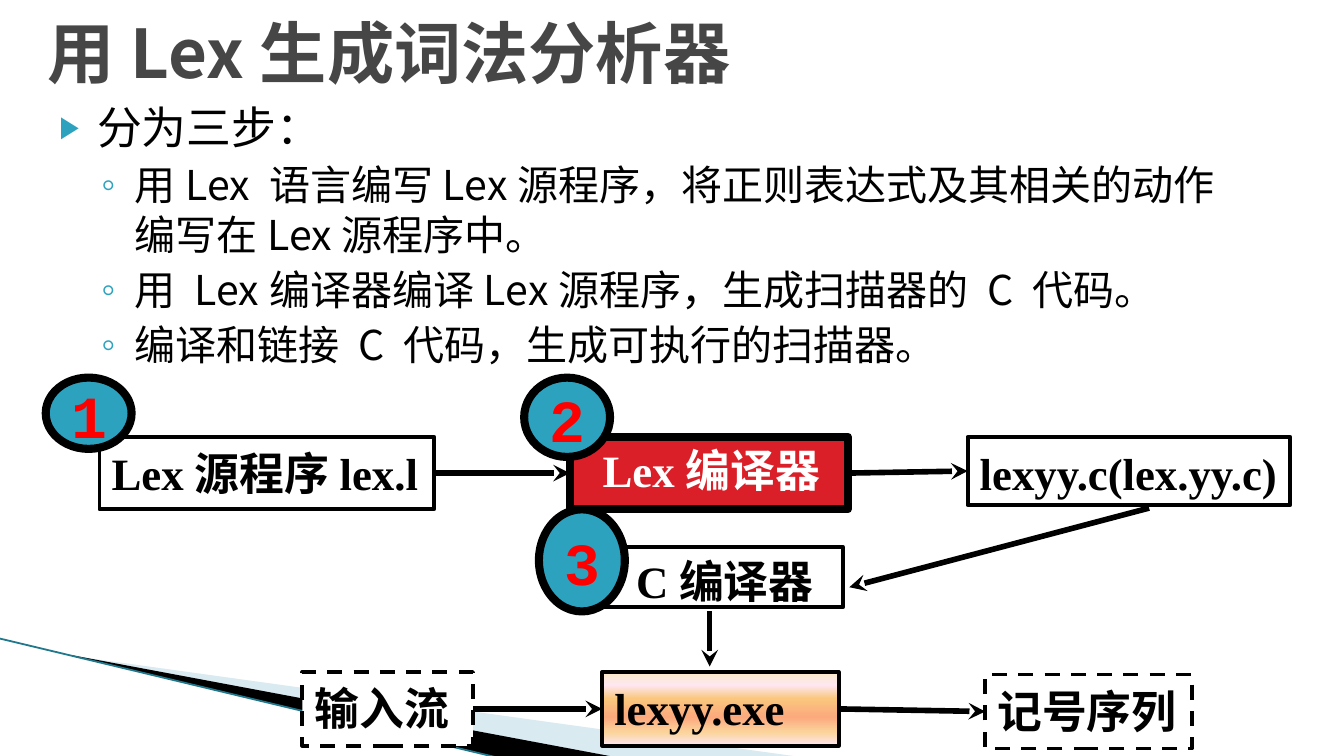
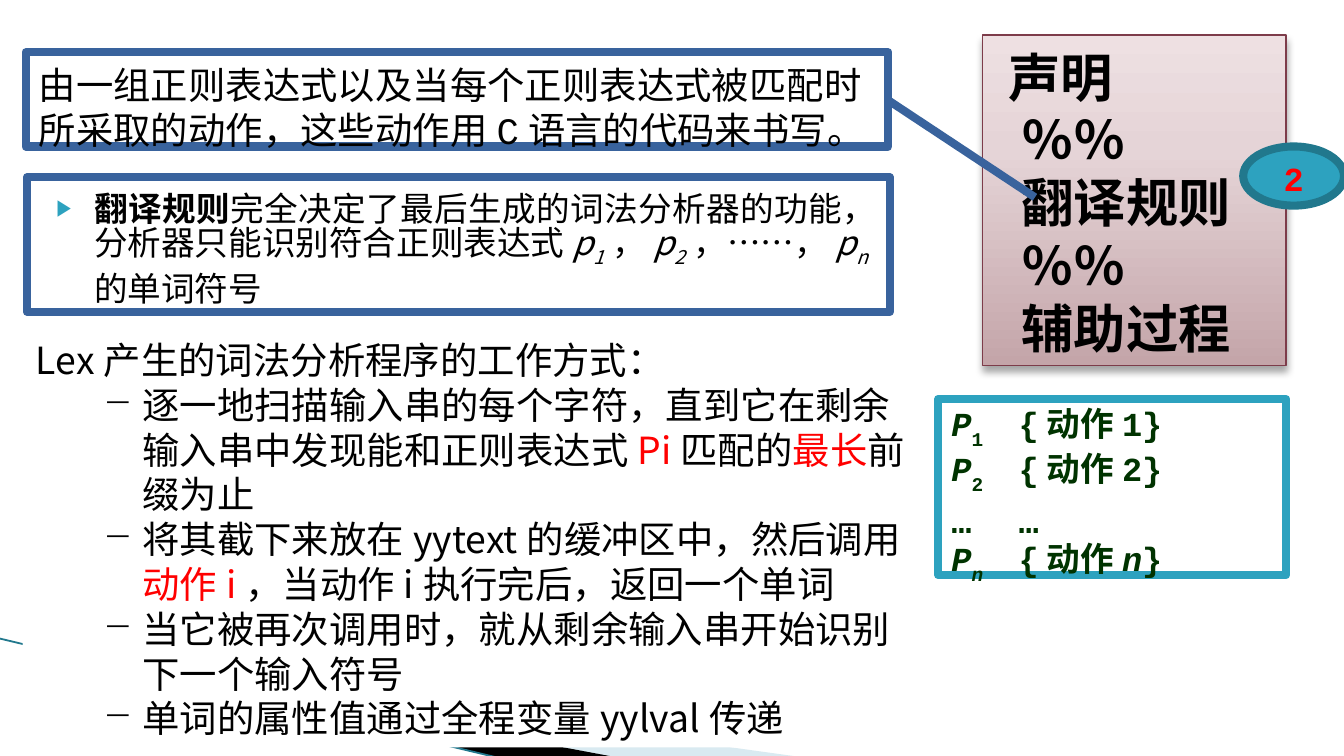
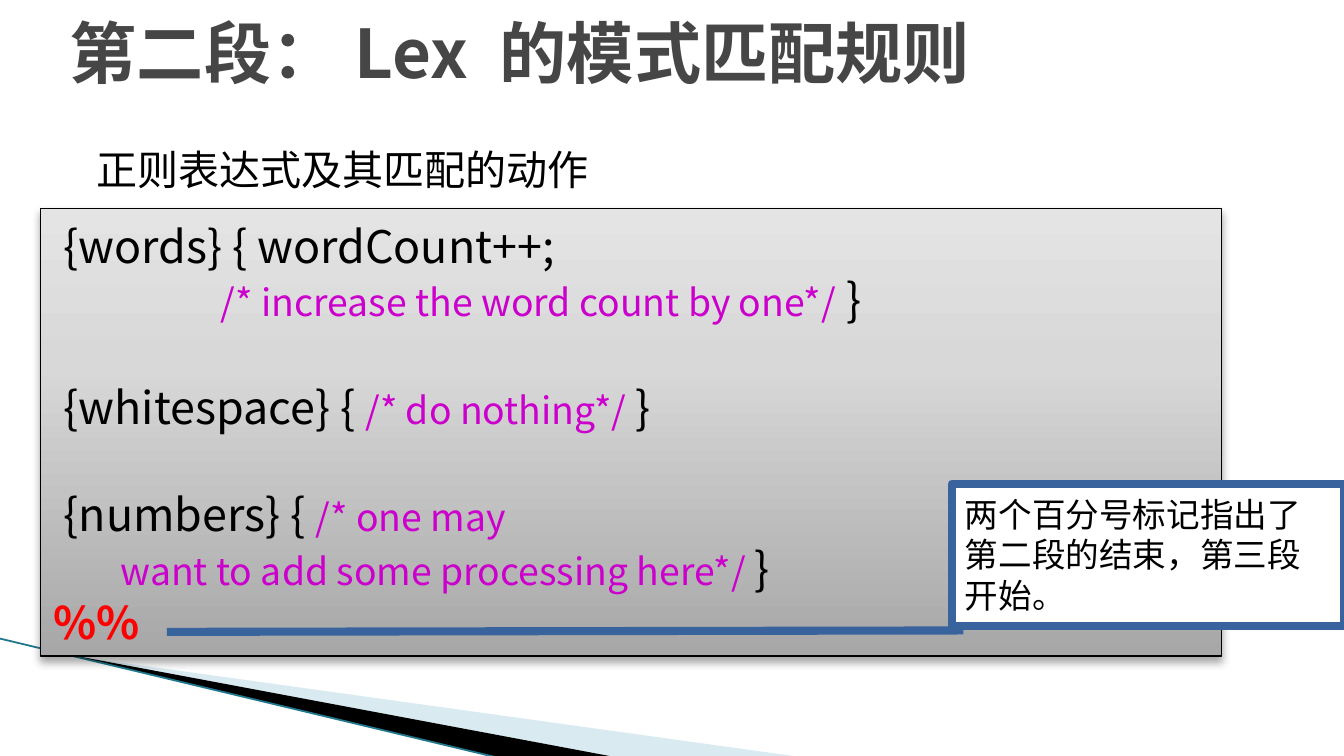
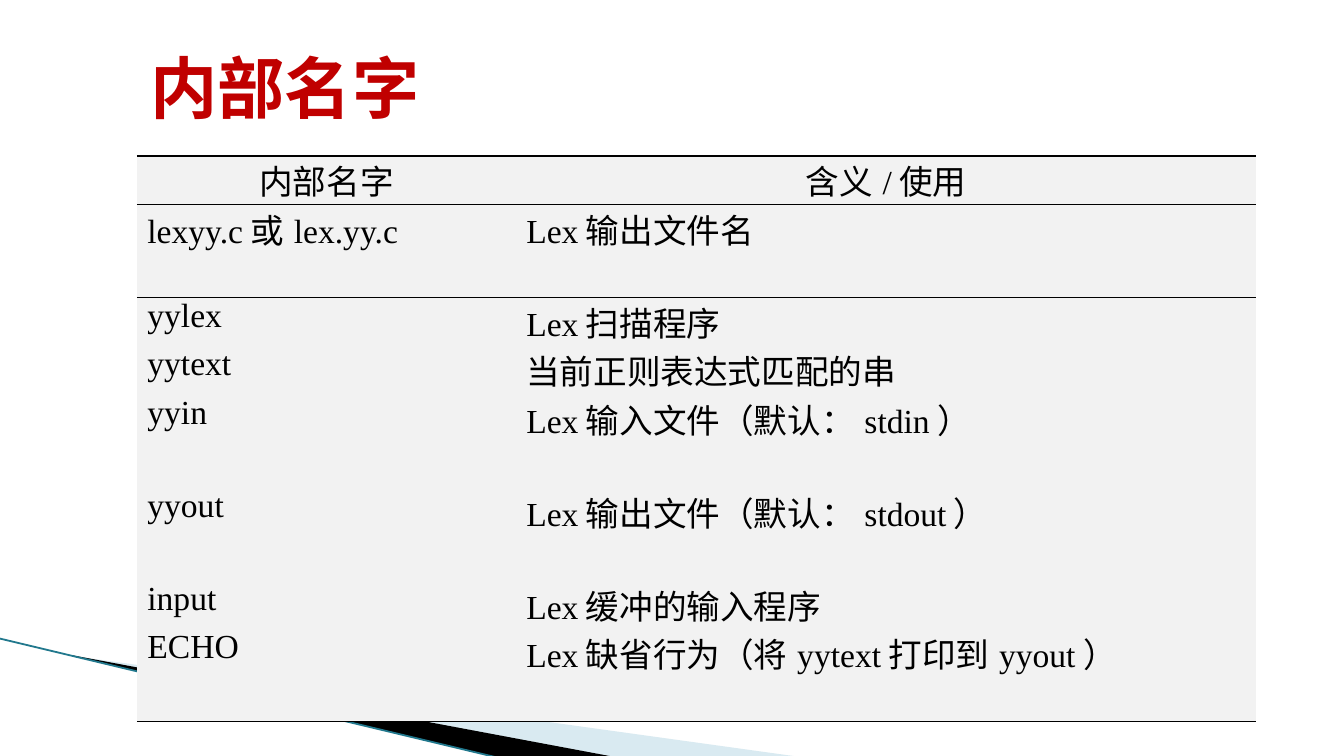
from dataclasses import dataclass

from lxml import etree
from pptx import Presentation
from pptx import util as u
from pptx.dml import color as dye
from pptx.enum import dml, shapes, text
from pptx.oxml import ns

KIND = shapes.MSO_SHAPE
LEFT, MID, FULL = text.PP_ALIGN.LEFT, text.PP_ALIGN.CENTER, text.PP_ALIGN.JUSTIFY
TOP, CORE, LOW = text.MSO_ANCHOR.TOP, text.MSO_ANCHOR.MIDDLE, text.MSO_ANCHOR.BOTTOM


@dataclass(frozen=True)
class Theme:
    sans: str = "Noto Sans CJK SC"
    serif: str = "Times New Roman"
    mono: str = "Courier New"
    black: str = "000000"
    white: str = "FFFFFF"
    grey: str = "464646"
    teal: str = "2DA2BF"
    deep: str = "21788D"
    pale: str = "A0CBDC"
    blue: str = "39639D"
    red: str = "FF0000"
    brick: str = "DA1F28"
    wine: str = "C00000"
    plum: str = "7D3C4A"
    pink: str = "CC00CC"
    green: str = "003300"
    mist: str = "F2F2F2"
    rose: tuple = ((0, "C4A5A9"), (65, "E5D4D7"), (100, "EEE0E2"))
    steel: tuple = ((0, "A7A7A7"), (65, "D8D8D8"), (100, "E4E4E4"))
    peach: tuple = ((0, "FBEAC7"), (18, "FEE7F2"), (36, "FAC77D"),
                    (61, "FBA97D"), (82, "FBD49C"), (100, "FEE7F2"))
    head: int = 36
    digit: int = 32
    large: int = 28
    lead: int = 24
    body: int = 22
    note: int = 20
    small: int = 18
    thick: float = 4.33
    arrow: float = 3
    edge: float = 2
    hair: float = 0.75


T = Theme()


def rgb(code):
    return dye.RGBColor.from_string(code)


def pts(*vals):
    return [u.Pt(v) for v in vals]


def put(obj, vals):
    for key, val in vals.items():
        setattr(obj, key, val)


def node(base, tag, **attrs):
    return etree.SubElement(base, ns.qn(tag), {k: str(v) for k, v in attrs.items()})


def tint(base, code, alpha=None):
    item = node(base, "a:srgbClr", val=code)
    if alpha:
        node(item, "a:alpha", val=alpha * 1000)


class Deck:
    def __init__(self, theme):
        self.theme = theme
        self.prs = Presentation()
        put(self.prs, dict(slide_width=u.Pt(720), slide_height=u.Pt(405)))
        self.slide = None

    def page(self):
        self.slide = self.prs.slides.add_slide(self.prs.slide_layouts[1])
        if len(self.prs.slides) == 1:
            self.bands()

    def bands(self):
        t = self.theme
        wing = self.free([(39.5, 351.5), (428.5, 405.5), (328.5, 405.5)], t.pale)
        hue = wing.element.spPr.find(".//" + ns.qn("a:srgbClr"))
        node(hue, "a:alpha", val=40000)
        blade = self.free([(38.5, 351), (329, 405.5), (268, 406), (39, 351.5)], t.black)
        rim = self.line((-0.5, 342), (267, 406), t.deep, 0.95)
        tree = self.prs.slide_master.shapes.element
        for i, part in enumerate((wing, blade, rim)):
            part.element[0][0].set("id", str(20 + i))
            tree.insert(2 + i, part.element)

    def free(self, path, fill):
        spots = [pts(*p) for p in path]
        pen = self.slide.shapes.build_freeform(*spots[0], scale=1.0)
        pen.add_line_segments(spots[1:], close=True)
        shape = pen.convert_to_shape()
        self.paint(shape, fill)
        return shape

    def paint(self, shape, fill=None, line=None, width=1, dash=False, turn=90, shade=False):
        if isinstance(fill, tuple):
            shape.fill.gradient()
            shape.fill.gradient_angle = turn
            stops = shape.element.spPr.find(".//" + ns.qn("a:gsLst"))
            stops[:] = []
            for pos, code in fill:
                tint(node(stops, "a:gs", pos=pos * 1000), code)
        elif fill:
            shape.fill.solid()
            shape.fill.fore_color.rgb = rgb(fill)
        else:
            shape.fill.background()
        if line:
            shape.line.color.rgb = rgb(line)
            shape.line.width = u.Pt(width)
            if dash:
                shape.line.dash_style = dml.MSO_LINE.DASH
        else:
            shape.line.fill.background()
        shape.shadow.inherit = False
        if shade:
            glow = shape.element.spPr.find(ns.qn("a:effectLst"))
            cast = node(glow, "a:outerShdw", blurRad=u.Pt(4), dist=u.Pt(3),
                        dir=5400000, rotWithShape=0)
            tint(cast, self.theme.black, 35)

    def shape(self, kind, at, **look):
        shape = self.slide.shapes.add_shape(kind, *pts(*at))
        self.paint(shape, **look)
        return shape

    def rect(self, at, **look):
        return self.shape(KIND.RECTANGLE, at, **look)

    def call(self, at, ends, words, size):
        t = self.theme
        box = self.shape(KIND.LINE_CALLOUT_1, at, fill=t.white, line=t.blue, width=t.thick)
        for i, val in enumerate(ends):
            box.adjustments[i] = val
        self.text(box, [words], dict(size=size, name=t.mono))

    def badge(self, mark, at, size, line):
        t = self.theme
        disc = self.shape(KIND.OVAL, at, fill=t.teal, line=line, width=t.thick)
        self.text(disc, [mark], dict(size=size, name=t.mono, bold=True, color=t.red),
                  anchor=CORE, align=MID)

    def line(self, start, end, code, width, head=False):
        wire = self.slide.shapes.add_connector(
            shapes.MSO_CONNECTOR.STRAIGHT, *pts(*start, *end))
        wire.line.color.rgb = rgb(code)
        wire.line.width = u.Pt(width)
        if head:
            node(wire.element.spPr.find(ns.qn("a:ln")), "a:tailEnd", type="stealth")
        node(wire.element.spPr, "a:effectLst")
        return wire

    def arrow(self, start, end):
        return self.line(start, end, self.theme.black, self.theme.arrow, True)

    def link(self, left, right):
        wire = self.arrow((0, 0), (9, 9))
        wire.begin_connect(left, 3)
        wire.end_connect(right, 1)

    def holder(self, idx, at):
        item = self.slide.placeholders[idx]
        put(item, dict(zip(("left", "top", "width", "height"), pts(*at))))
        return item

    def title(self, words, at, code):
        t = self.theme
        self.text(self.holder(0, at), [words],
                  dict(size=t.head, bold=True, color=code), anchor=CORE, step=None)

    def trim(self):
        for item in list(self.slide.placeholders):
            if item.has_text_frame and not item.text_frame.text:
                item.element.getparent().remove(item.element)

    def text(self, shape, paras, look, anchor=TOP, align=LEFT,
             pads=(7.2, 5.4, 7.2, 3.6), step=1.2):
        frame = shape.text_frame
        names = ("margin_left", "margin_top", "margin_right", "margin_bottom")
        put(frame, dict(zip(names, pts(*pads)), word_wrap=True,
                        auto_size=text.MSO_AUTO_SIZE.NONE, vertical_anchor=anchor))
        self.fill(frame, paras, look, align, step)

    def fill(self, frame, paras, look, align=LEFT, step=None):
        for i, item in enumerate(paras):
            runs, form = item if isinstance(item, tuple) else (item, {})
            para = frame.paragraphs[0] if i == 0 else frame.add_paragraph()
            self.para(para, runs, {**look, **form.get("look", {})}, form, align, step, i)

    def para(self, para, runs, look, form, align, step, rank):
        prop = para._p.get_or_add_pPr()
        left, hang = form.get("dent", (0, 0))
        prop.set("marL", str(u.Pt(left)))
        prop.set("indent", str(u.Pt(hang)))
        mark = form.get("mark")
        if mark:
            if form.get("hue"):
                tint(node(prop, "a:buClr"), form["hue"])
            if form.get("scale"):
                node(prop, "a:buSzPct", val=form["scale"] * 1000)
            node(prop, "a:buChar", char=mark)
        else:
            node(prop, "a:buNone")
        if form.get("tab"):
            node(node(prop, "a:tabLst"), "a:tab", pos=u.Pt(form["tab"]), algn="l")
        put(para, dict(alignment=align, level=form.get("level", 0),
                       space_before=u.Pt(form.get("gap", 0) if rank else 0),
                       space_after=u.Pt(0)))
        if step:
            para.line_spacing = u.Pt(round(look["size"] * step, 1))
        for part in [runs] if isinstance(runs, str) else runs:
            words, more = part if isinstance(part, tuple) else (part, {})
            self.run(para, words, {**look, **more})

    def run(self, para, words, look):
        run = para.add_run()
        run.text = words
        put(run.font, dict(size=u.Pt(look["size"]), name=look.get("name", self.theme.sans),
                           bold=look.get("bold", False), italic=look.get("italic", False)))
        run.font.color.rgb = rgb(look.get("color", self.theme.black))
        prop = run._r.get_or_add_rPr()
        node(prop, "a:ea", typeface=self.theme.sans)
        if look.get("base"):
            prop.set("baseline", str(look["base"] * 1000))

    def table(self, at, cols, rows, data):
        t = self.theme
        grid = self.slide.shapes.add_table(len(rows), len(cols), *pts(*at)).table
        put(grid, dict(first_row=False, horz_banding=False))
        style = grid._tbl.tblPr.find(ns.qn("a:tableStyleId"))
        style.text = "{2D5ABB26-0587-4C30-8999-92F81FD0307C}"
        for col, wide in zip(grid.columns, cols):
            col.width = u.Pt(wide)
        for r, (row, high) in enumerate(zip(grid.rows, rows)):
            row.height = u.Pt(high)
            sides = {0: ("T", "B"), 1: ("T",), len(rows) - 1: ("B",)}.get(r, ())
            for cell, words in zip(row.cells, data[r]):
                put(cell, dict(margin_left=u.Pt(5.6), margin_right=u.Pt(5.6), margin_top=0,
                               margin_bottom=0, vertical_anchor=TOP if r else LOW))
                cell.fill.solid()
                cell.fill.fore_color.rgb = rgb(t.mist)
                self.fill(cell.text_frame, [words], dict(size=t.small, name=t.serif),
                          LEFT if r else MID)
                prop = cell._tc.get_or_add_tcPr()
                for i, side in enumerate(sides):
                    edge = node(prop, "a:ln" + side, w=u.Pt(1))
                    tint(node(edge, "a:solidFill"), t.black)
                    prop.insert(i, edge)


ARROW = dict(dent=(28.8, -20.2), mark="▶", hue=T.teal, scale=68)
RING = dict(level=1, dent=(49, -18), mark="◦", hue=T.teal, gap=3.2, look=dict(size=T.body))
DASH = dict(dent=(57, -21), mark="−")


def steps(deck):
    deck.page()
    deck.title("用Lex生成词法分析器", (18, 0, 648, 54), T.grey)
    items = ["用Lex 语言编写Lex源程序，将正则表达式及其相关的动作编写在Lex源程序中。",
             "用 Lex编译器编译Lex源程序，生成扫描器的 C 代码。",
             "编译和链接 C 代码，生成可执行的扫描器。"]
    deck.text(deck.holder(1, (16, 48.2, 648, 180)),
              [("分为三步：", ARROW)] + [(item, RING) for item in items], dict(size=T.lead))

    def box(words, at, align=FULL, color=T.black, **look):
        style = dict(line=T.black, width=T.edge, turn=270)
        shape = deck.rect(at, **{**style, **look})
        deck.text(shape, [words], dict(size=T.lead, name=T.serif, bold=True, color=color),
                  align=align, pads=(6.5, 1 if align == MID else 2.2, 4, 1), step=1.3)
        return shape

    lex = box("Lex编译器", (305.3, 234, 149, 38.9), MID, T.white, fill=T.brick, width=T.thick)
    source = box("Lex源程序lex.l", (53.3, 234, 179.3, 38.9))
    code = box("lexyy.c(lex.yy.c)", (518.4, 234, 172.8, 36.7))
    box("C编译器", (322.6, 293, 128.9, 32.4), MID)
    exe = box("lexyy.exe", (322.6, 360, 126.7, 39.6), fill=T.peach)
    feed = box("输入流", (162, 360, 91.4, 39.6), fill=T.white, dash=True)
    marks = box("记号序列", (527.8, 361.4, 110.9, 39.6), dash=True)
    for pair in ((source, lex), (lex, code), (feed, exe), (exe, marks)):
        deck.link(*pair)
    deck.arrow((380.2, 327.6), (380.2, 357.1))
    deck.arrow((615.6, 272.2), (455, 314.6))
    for mark, x, y, high in (("2", 280.8, 202.3, 42.5), ("1", 24.5, 202.3, 38.2),
                             ("3", 288.7, 272.9, 54.7)):
        deck.badge(mark, (x, y, 46, high), T.digit, T.black)
    deck.trim()


def rules(deck):
    deck.page()
    slant, sub = dict(italic=True), dict(italic=True, base=-25)
    body = deck.holder(1, (14.4, 95, 462.2, 72))
    deck.paint(body, T.white, T.blue, T.thick)
    runs = [("翻译规则", dict(bold=True)),
            "完全决定了最后生成的词法分析器的功能，分析器只能识别符合正则表达式",
            ("p", slant), ("1", sub), "，", ("p", slant), ("2", sub), "，……，",
            ("p", slant), ("n", sub), "的单词符号"]
    deck.text(body, [(runs, ARROW)], dict(size=T.small), align=FULL)

    parts = deck.rect((526.3, 18.7, 162.7, 177.1), fill=T.rose, line=T.plum,
                      width=T.hair, shade=True)
    names = ["声明", "％％", "翻译规则", "％％", "辅助过程"]
    deck.text(parts, [(name, dict(dent=(14 if i else 7, 0))) for i, name in enumerate(names)],
              dict(size=T.large, name=T.mono, bold=True))
    deck.call((13.7, 28.1, 462.2, 50.4), (0.51, 1, 1.54, 1.17),
              "由一组正则表达式以及当每个正则表达式被匹配时所采取的动作，"
              "这些动作用C语言的代码来书写。", T.note)
    deck.badge("2", (666, 78.5, 54, 31.7), T.small, T.deep)

    acts = deck.rect((502.6, 213.8, 186.5, 94.3), fill=T.white, line=T.teal, width=T.thick)
    low, stop = dict(base=-30), dict(tab=72)
    rows = [([("P", slant), (f"{n}\t", low), f"{{动作{n}}}"], stop) for n in (1, 2)]
    rows += [("…\t…", stop),
             ([("P", slant), ("n\t", {**slant, **low}), "{动作", ("n", slant), "}"], stop)]
    deck.text(acts, rows, dict(size=T.small, name=T.mono, bold=True, color=T.green),
              align=FULL, pads=(7.2, 3.6, 7.2, 3.6), step=1.34)

    red = dict(color=T.red)
    flow = deck.rect((12.2, 175, 480.2, 225.4), fill=T.white)
    items = [["逐一地扫描输入串的每个字符，直到它在剩余输入串中发现能和正则表达式",
              ("Pi", red), "匹配的", ("最长", red), "前缀为止"],
             ["将其截下来放在yytext的缓冲区中，然后调用", ("动作i", red),
              "，当动作i执行完后，返回一个单词"],
             "当它被再次调用时，就从剩余输入串开始识别下一个输入符号",
             "单词的属性值通过全程变量yylval传递"]
    deck.text(flow, ["Lex产生的词法分析程序的工作方式："] + [(item, DASH) for item in items],
              dict(size=T.note), anchor=CORE)
    deck.trim()


def match(deck):
    deck.page()
    deck.title("第二段：Lex 的模式匹配规则", (30.2, 0, 648, 54), T.grey)
    deck.text(deck.holder(1, (36, 72, 401.8, 27.4)),
              [("正则表达式及其匹配的动作", dict(dent=(8.6, 0)))], dict(size=T.body))
    code = deck.rect((21.6, 111.6, 632.9, 239.8), fill=T.steel, line=T.black,
                     width=T.hair, shade=True)
    hint, skip = dict(size=T.note, color=T.pink), dict(gap=28.8)
    lines = [" {words} { wordCount++;",
             [("                    ", hint), ("/* increase the word count by one*/", hint), " }"],
             ([" {whitespace} { ", ("/* do nothing*/ ", hint), "}"], skip),
             ([" {numbers} { ", ("/* one may", hint)], skip),
             [("        want to add some processing here*/ ", hint), "}"],
             [("%%", dict(color=T.red, bold=True))]]
    deck.text(code, lines, dict(size=T.lead))
    deck.call((509.8, 259.2, 210.2, 76.3), (1.03, 0.03, 1.04, -2),
              "两个百分号标记指出了第二段的结束，第三段开始。", T.small)
    deck.trim()


def names(deck):
    deck.page()
    deck.title("内部名字", (73.4, 16.6, 585.4, 58.3), T.wine)
    data = [("内部名字", "含义/使用"),
            ("lexyy.c或lex.yy.c", "Lex输出文件名"),
            ("yylex", "Lex扫描程序"),
            ("yytext", "当前正则表达式匹配的串"),
            ("yyin", "Lex输入文件（默认：stdin）"),
            ("yyout", "Lex输出文件（默认：stdout）"),
            ("input", "Lex缓冲的输入程序"),
            ("ECHO", "Lex缺省行为（将yytext打印到yyout）")]
    rows = [49.7 if i in (1, 4, 5, 7) else 25.2 for i in range(len(data))]
    deck.table((73.4, 83.5, 599.8, sum(rows)), (203, 396.7), rows, data)
    deck.trim()


def main():
    deck = Deck(T)
    for build in (steps, rules, match, names):
        build(deck)
    deck.prs.save("out.pptx")


if __name__ == "__main__":
    main()
